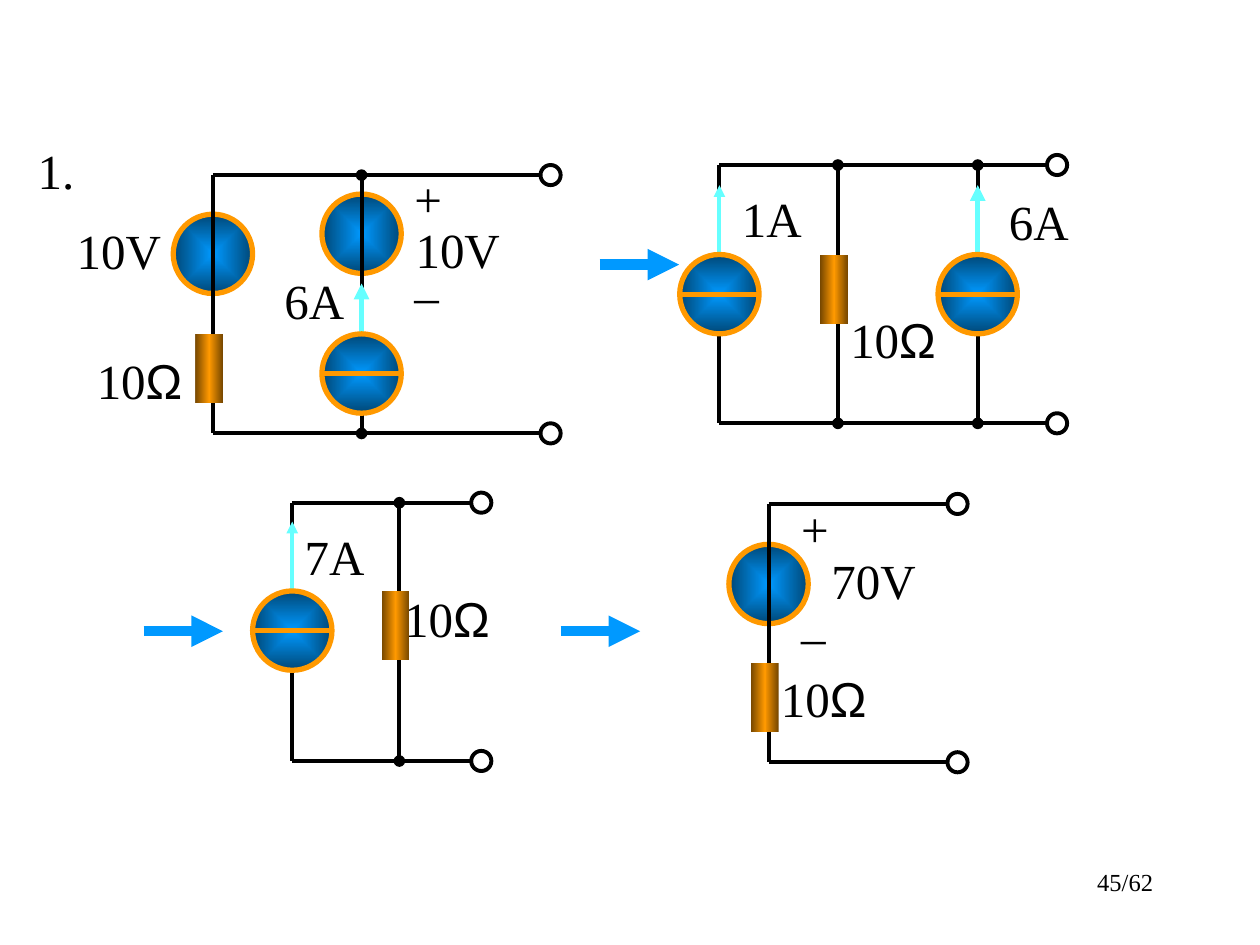
"""Build a slide that reduces a circuit of sources step by step to one equivalent source."""
from lxml.etree import SubElement
from pptx import Presentation
from pptx.dml.color import RGBColor
from pptx.enum.shapes import MSO_CONNECTOR, MSO_SHAPE
from pptx.enum.text import PP_ALIGN
from pptx.oxml import parse_xml
from pptx.oxml.ns import nsdecls, qn
from pptx.util import Inches, Pt

COLORS = {
    "black": "000000", "blue": "0099FF", "navy": "004776",
    "orange": "FF9900", "brown": "764700", "cyan": "66FFFF",
}
WIRE_HEIGHT = 2.05
SOURCE_SIZE = 0.63
TERMINAL_SIZE = 0.16
RESISTOR_SIZE = (0.22, 0.55)
RESISTOR_OFFSET = 0.14
LABEL_HEIGHT = 0.57

CIRCUITS = [
    {
        "top": 1.31, "terminal": 8.31,
        "branches": [(5.71, False), (6.65, True), (7.76, True)],
        "voltage_sources": [],
        "resistors": [(6.65, 2.02)],
        "current_sources": [(7.76, 2.02), (5.71, 2.02)],
        "arrows": [(7.76, 1.47, 2.09, 3), (5.71, 1.47, 2.02, 2.25)],
        "labels": [("10Ω", 6.65, 2.41, 1.34), ("6A", 7.91, 1.47, 0.77), ("1A", 5.79, 1.45, 0.77)],
    },
    {
        "top": 3.99, "terminal": 3.74,
        "branches": [(2.32, False), (3.17, True)],
        "voltage_sources": [],
        "resistors": [(3.17, 4.69)],
        "current_sources": [(2.32, 4.69)],
        "arrows": [(2.32, 4.14, 4.69, 2.25)],
        "labels": [("10Ω", 3.11, 4.62, 1.34), ("7A", 2.32, 4.13, 0.77)],
    },
    {
        "top": 4.0, "terminal": 7.52,
        "branches": [(6.1, False)],
        "voltage_sources": [(6.1, 4.32)],
        "resistors": [(6.1, 5.26)],
        "current_sources": [],
        "arrows": [],
        "labels": [("10Ω", 6.1, 5.26, 1.34), ("70V", 6.5, 4.32, 0.88),
                   ("+", 6.26, 3.91, 0.34), ("_", 6.26, 4.63, 0.34)],
    },
    {
        "top": 1.39, "terminal": 4.29,
        "branches": [(1.69, False), (2.87, True)],
        "voltage_sources": [(1.69, 1.7), (2.87, 1.54)],
        "resistors": [(1.69, 2.65)],
        "current_sources": [(2.87, 2.65)],
        "arrows": [(2.87, 2.25, 2.72, 3)],
        "labels": [("10V", 0.51, 1.7, 0.95), ("10Ω", 0.67, 2.73, 1.34), ("10V", 3.2, 1.69, 0.93),
                   ("6A", 2.16, 2.1, 0.77), ("+", 3.19, 1.29, 0.39), ("_", 3.19, 1.92, 0.39),
                   ("1.", 0.2, 1.07, 0.55)],
    },
]
STEP_ARROWS = [(4.76, 2.1), (4.45, 5.01), (1.14, 5.01)]
STEP_LENGTH = 0.63

SOURCE_FILL = ([(0, "blue"), (100, "navy")],
               '<a:path path="rect"><a:fillToRect l="50000" t="50000" r="50000" b="50000"/></a:path>')
RESISTOR_FILL = ([(0, "brown"), (50, "orange"), (100, "brown")], '<a:lin ang="0" scaled="1"/>')


def rgb(name):
    return RGBColor.from_string(COLORS[name])


def add_line(shapes, start, end, color, width, head=None, tail=None):
    line = shapes.add_connector(MSO_CONNECTOR.STRAIGHT, *map(Inches, start + end))
    line.line.color.rgb = rgb(color)
    line.line.width = Pt(width)
    properties = line._element.spPr
    for tag, kind in (("a:headEnd", head), ("a:tailEnd", tail)):
        if kind:
            SubElement(properties.find(qn("a:ln")), qn(tag), type=kind)
    SubElement(properties, qn("a:effectLst"))


def add_part(shapes, preset, box, outline=None, width=None, gradient=None):
    shape = shapes.add_shape(preset, *map(Inches, box))
    shape.shadow.inherit = False
    if outline:
        shape.line.color.rgb = rgb(outline)
        shape.line.width = Pt(width)
    else:
        shape.line.fill.background()
    if not gradient:
        shape.fill.background()
        return
    shape.fill.gradient()
    stops, direction = gradient
    stop_xml = "".join(
        f'<a:gs pos="{position * 1000}"><a:srgbClr val="{COLORS[color]}"/></a:gs>'
        for position, color in stops)
    properties = shape._element.spPr
    properties.replace(
        properties.find(qn("a:gradFill")),
        parse_xml(f'<a:gradFill {nsdecls("a")} rotWithShape="1">'
                  f'<a:gsLst>{stop_xml}</a:gsLst>{direction}</a:gradFill>'))


def add_text(shapes, text, box, size=28, alignment=PP_ALIGN.LEFT):
    text_frame = shapes.add_textbox(*map(Inches, box)).text_frame
    text_frame.word_wrap = True
    paragraph = text_frame.paragraphs[0]
    paragraph.alignment = alignment
    for part, font_name in ((text.rstrip("Ω"), "Times New Roman"), ("Ω" * text.count("Ω"), "Arial")):
        if part:
            run = paragraph.add_run()
            run.text = part
            run.font.name = font_name
            run.font.size = Pt(size)
            run.font.color.rgb = rgb("black")


def add_source(shapes, x, top):
    box = (x - SOURCE_SIZE / 2, top, SOURCE_SIZE, SOURCE_SIZE)
    add_part(shapes, MSO_SHAPE.OVAL, box, "orange", 3, SOURCE_FILL)


def add_circuit(slide, circuit):
    shapes = slide.shapes.add_group_shape().shapes
    top, terminal = circuit["top"], circuit["terminal"]
    bottom = top + WIRE_HEIGHT
    left = circuit["branches"][0][0]
    for x, y in circuit["voltage_sources"]:
        add_source(shapes, x, y)
    for x, has_nodes in circuit["branches"]:
        node = "oval" if has_nodes else None
        add_line(shapes, (x, top), (x, bottom), "black", 2.25, node, node)
    for x, start, end, width in circuit["arrows"]:
        add_line(shapes, (x, start), (x, end), "cyan", width, head="triangle")
    for text, x, y, width in circuit["labels"]:
        add_text(shapes, text, (x, y, width, LABEL_HEIGHT))
    for y in (bottom, top):
        add_line(shapes, (left, y), (terminal, y), "black", 2.25)
        box = (terminal, y - TERMINAL_SIZE / 2, TERMINAL_SIZE, TERMINAL_SIZE)
        add_part(shapes, MSO_SHAPE.OVAL, box, "black", 2.25)
    for x, y in circuit["resistors"]:
        box = (x - RESISTOR_OFFSET, y, *RESISTOR_SIZE)
        add_part(shapes, MSO_SHAPE.RECTANGLE, box, gradient=RESISTOR_FILL)
    for x, y in circuit["current_sources"]:
        add_source(shapes, x, y)
        radius = SOURCE_SIZE / 2
        add_line(shapes, (x - radius, y + radius), (x + radius, y + radius), "orange", 3)


def main():
    presentation = Presentation()
    presentation.slide_width, presentation.slide_height = Inches(10), Inches(7.5)
    slide = presentation.slides.add_slide(presentation.slide_layouts[6])
    add_text(slide.shapes, "45/62", (7.17, 6.83, 2.08, 0.5), 14, PP_ALIGN.RIGHT)
    for x, y in STEP_ARROWS:
        add_line(slide.shapes, (x, y), (x + STEP_LENGTH, y), "blue", 6, tail="triangle")
    for circuit in CIRCUITS:
        add_circuit(slide, circuit)
    presentation.save("out.pptx")


if __name__ == "__main__":
    main()
